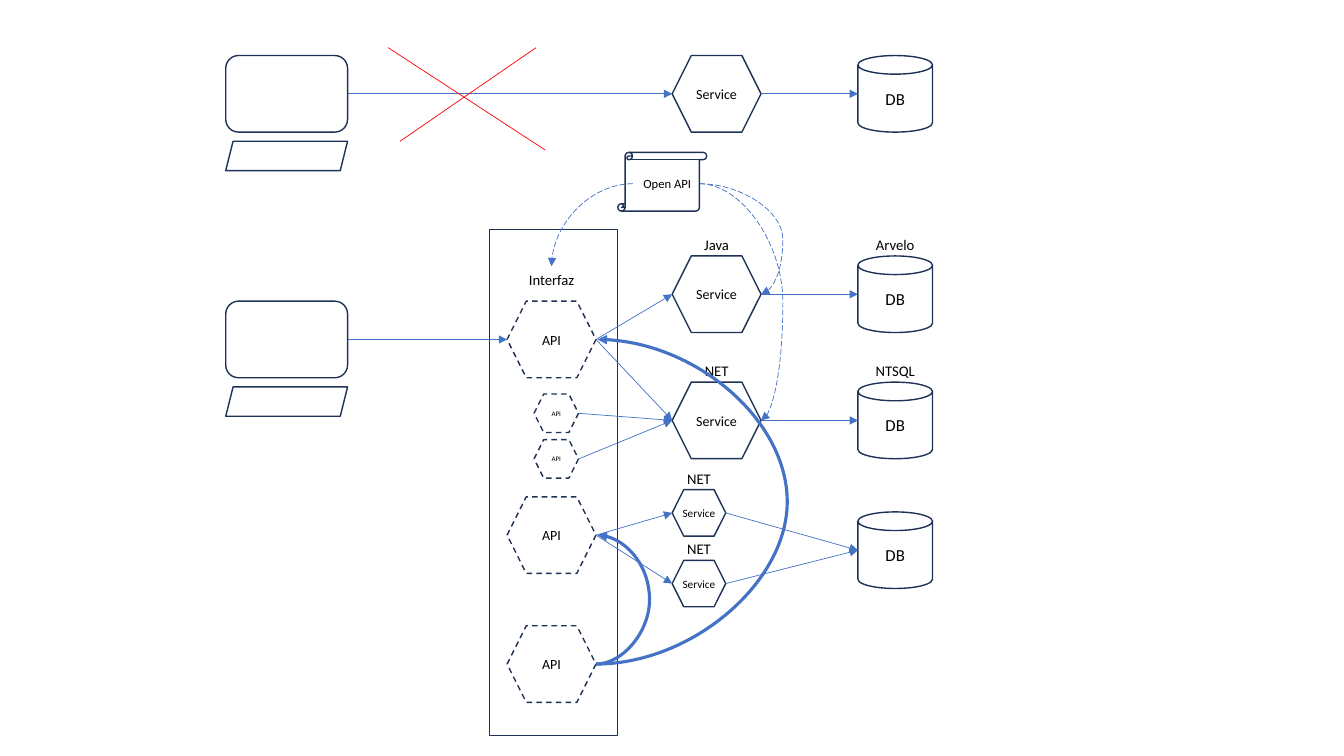
"""Builds a slide comparing a direct service call with an API interface layer."""
from lxml import etree
from pptx import Presentation
from pptx.dml.color import RGBColor
from pptx.enum.dml import MSO_LINE
from pptx.enum.shapes import MSO_CONNECTOR, MSO_SHAPE
from pptx.enum.text import MSO_ANCHOR, PP_ALIGN
from pptx.oxml.ns import qn
from pptx.util import Cm, Pt

HEXAGON, CAN = MSO_SHAPE.HEXAGON, MSO_SHAPE.CAN
SCREEN, KEYBOARD = MSO_SHAPE.ROUNDED_RECTANGLE, MSO_SHAPE.PARALLELOGRAM
PANEL, SCROLL = MSO_SHAPE.RECTANGLE, MSO_SHAPE.VERTICAL_SCROLL
STRAIGHT, CURVE = MSO_CONNECTOR.STRAIGHT, MSO_CONNECTOR.CURVE
DASH, LONG_DASH = MSO_LINE.DASH, MSO_LINE.LONG_DASH
CENTER, MIDDLE = PP_ALIGN.CENTER, MSO_ANCHOR.MIDDLE

FONT = "Calibri"
COLORS = {"fill": "FFFFFF", "outline": "1E3256", "flow": "4472C4",
          "cross": "FF0000", "text": "000000"}
API_SIZE = (2.24, 1.93)
SMALL_API_SIZE = (1.12, 0.97)
SMALL_SERVICE_SIZE = (1.35, 1.17)
DB_SIZE = (1.88, 1.93)
LABEL_SIZE = (1.88, 0.73)


def color(name):
    """Return the named colour."""
    return RGBColor.from_string(COLORS[name])


def write_text(frame, text, size):
    """Write one centred line of text in a frame."""
    paragraph = frame.paragraphs[0]
    paragraph.text = text
    paragraph.alignment = CENTER
    paragraph.font.name = FONT
    paragraph.font.size = Pt(size)
    paragraph.font.color.rgb = color("text")


def add_node(slide, kind, box, text="", size=10, dash=None, filled=True):
    """Add an outlined shape with an optional caption."""
    shape = slide.shapes.add_shape(kind, *(Cm(length) for length in box))
    shape.shadow.inherit = False
    if filled:
        shape.fill.solid()
        shape.fill.fore_color.rgb = color("fill")
    else:
        shape.fill.background()
    shape.line.color.rgb = color("outline")
    shape.line.width = Pt(1)
    if dash:
        shape.line.dash_style = dash
    if text:
        frame = shape.text_frame
        frame.word_wrap = False
        frame.vertical_anchor = MIDDLE
        frame.margin_left = frame.margin_right = 0
        frame.margin_top = frame.margin_bottom = 0
        write_text(frame, text, size)
    return shape


def add_label(slide, node, text, rise=0.63):
    """Add a label centred above a node."""
    width, height = (Cm(length) for length in LABEL_SIZE)
    left = node.left + (node.width - width) // 2
    label = slide.shapes.add_textbox(left, node.top - Cm(rise), width, height)
    label.text_frame.word_wrap = True
    write_text(label.text_frame, text, 10.5)


def left_of(node):
    """Return the middle of a node's left side."""
    return node.left, node.top + node.height // 2


def right_of(node):
    """Return the middle of a node's right side."""
    return node.left + node.width, node.top + node.height // 2


def point(x, y):
    """Return a point given in centimetres."""
    return Cm(x), Cm(y)


def add_line(slide, start, end, name="flow", width=0.5, kind=STRAIGHT,
             arrow=True, dash=None):
    """Add a line between two points."""
    line = slide.shapes.add_connector(kind, *start, *end)
    line.line.color.rgb = color(name)
    line.line.width = Pt(width)
    if dash:
        line.line.dash_style = dash
    properties = line._element.spPr
    if arrow:
        outline = properties.find(qn("a:ln"))
        etree.SubElement(outline, qn("a:tailEnd"), type="triangle")
    etree.SubElement(properties, qn("a:effectLst"))
    return line


def add_curve(slide, start, end, bulge=None, **style):
    """Add a curve that bulges to the right, or a quarter turn without a bulge."""
    line = add_line(slide, start, end, kind=CURVE, **style)
    geometry = line._element.spPr.find(qn("a:prstGeom"))
    if bulge is None:
        geometry.set("prst", "curvedConnector2")
    else:
        ratio = round(100000 * Cm(bulge) / (end[0] - start[0]))
        guides = geometry.find(qn("a:avLst"))
        etree.SubElement(guides, qn("a:gd"), name="adj1", fmla=f"val {ratio}")


def draw_client(slide, left, top):
    """Draw a computer and return its screen."""
    screen = add_node(slide, SCREEN, (left, top, 3.07, 1.93))
    add_node(slide, KEYBOARD, (left, top + 2.16, 3.07, 0.74))
    return screen


def draw_backend(slide, left, top, service_label="", db_label=""):
    """Draw a service with its own database and return the service."""
    service = add_node(slide, HEXAGON, (left, top, *API_SIZE), "Service")
    database = add_node(slide, CAN, (left + 4.68, top, *DB_SIZE), "DB", 12)
    add_line(slide, right_of(service), left_of(database))
    for node, text in ((service, service_label), (database, db_label)):
        if text:
            add_label(slide, node, text)
    return service


def draw_shared_backend(slide, left, top):
    """Draw two small services that share a database and return them."""
    database = add_node(slide, CAN, (left + 4.68, top + 0.56, *DB_SIZE), "DB", 12)
    services = []
    for row in range(2):
        box = (left, top + 1.78 * row, *SMALL_SERVICE_SIZE)
        service = add_node(slide, HEXAGON, box, "Service", 8)
        add_label(slide, service, "NET")
        add_line(slide, right_of(service), left_of(database))
        services.append(service)
    return services


def draw_interface(slide, left, top):
    """Draw the interface panel and return its large and small APIs."""
    add_node(slide, PANEL, (left, top, 3.23, 12.75), filled=False)
    large = [add_node(slide, HEXAGON, (left + 0.44, top + drop, *API_SIZE),
                      "API", dash=DASH) for drop in (1.8, 6.73, 9.98)]
    small = [add_node(slide, HEXAGON, (left + 1.12, top + drop, *SMALL_API_SIZE),
                      "API", 5, DASH) for drop in (4.14, 5.29)]
    add_label(slide, large[0], "Interfaz", 0.88)
    return large, small


def draw_direct_route(slide, left, top):
    """Draw the crossed-out direct call from client to service."""
    client = draw_client(slide, left, top)
    service = draw_backend(slide, left + 11.25, top)
    add_line(slide, right_of(client), left_of(service))
    for start, end in (((4.09, -0.2), (8.05, 2.38)), ((7.82, -0.2), (4.39, 2.16))):
        ends = [point(left + x, top + y) for x, y in (start, end)]
        add_line(slide, *ends, name="cross", arrow=False)


def draw_contract(slide, left, top, services):
    """Draw the contract scroll and its links to the interface and services."""
    add_node(slide, SCROLL, (left, top, 2.24, 1.48), filled=False)
    caption = slide.shapes.add_textbox(Cm(left + 0.38), Cm(top + 0.48), Cm(1.73), Cm(0.64))
    caption.text_frame.word_wrap = False
    write_text(caption.text_frame, "Open API", 9)
    add_curve(slide, point(left + 0.38, top + 0.79),
              point(left - 1.67, top + 2.87), dash=LONG_DASH)
    for service in services:
        add_curve(slide, point(left + 2.06, top + 0.79), right_of(service),
                  bulge=2.1, dash=LONG_DASH)


def draw_api_route(slide, left, top):
    """Draw the calls that pass through the interface."""
    client = draw_client(slide, left, top)
    large, small = draw_interface(slide, left + 6.65, top - 1.8)
    java = draw_backend(slide, left + 11.25, top - 1.14, "Java", "Arvelo")
    net = draw_backend(slide, left + 11.25, top + 2.04, "NET", "NTSQL")
    shared = draw_shared_backend(slide, left + 11.25, top + 4.75)
    add_line(slide, right_of(client), left_of(large[0]))
    calls = [(large[0], java), (large[0], net), (small[0], net), (small[1], net),
             (large[1], shared[0]), (large[1], shared[1])]
    for api, service in calls:
        add_line(slide, right_of(api), left_of(service))
    draw_contract(slide, left + 9.88, top - 3.75, (java, net))
    for api, bulge in ((large[1], 1.35), (large[0], 4.82)):
        x, y = right_of(api)
        add_curve(slide, right_of(large[2]), (x + Cm(0.04), y), bulge, width=2.25)


def main():
    """Build and save the presentation."""
    presentation = Presentation()
    presentation.slide_width, presentation.slide_height = Cm(33.87), Cm(19.05)
    slide = presentation.slides.add_slide(presentation.slide_layouts[6])
    draw_direct_route(slide, 5.69, 1.4)
    draw_api_route(slide, 5.69, 7.59)
    presentation.save("out.pptx")


if __name__ == "__main__":
    main()
